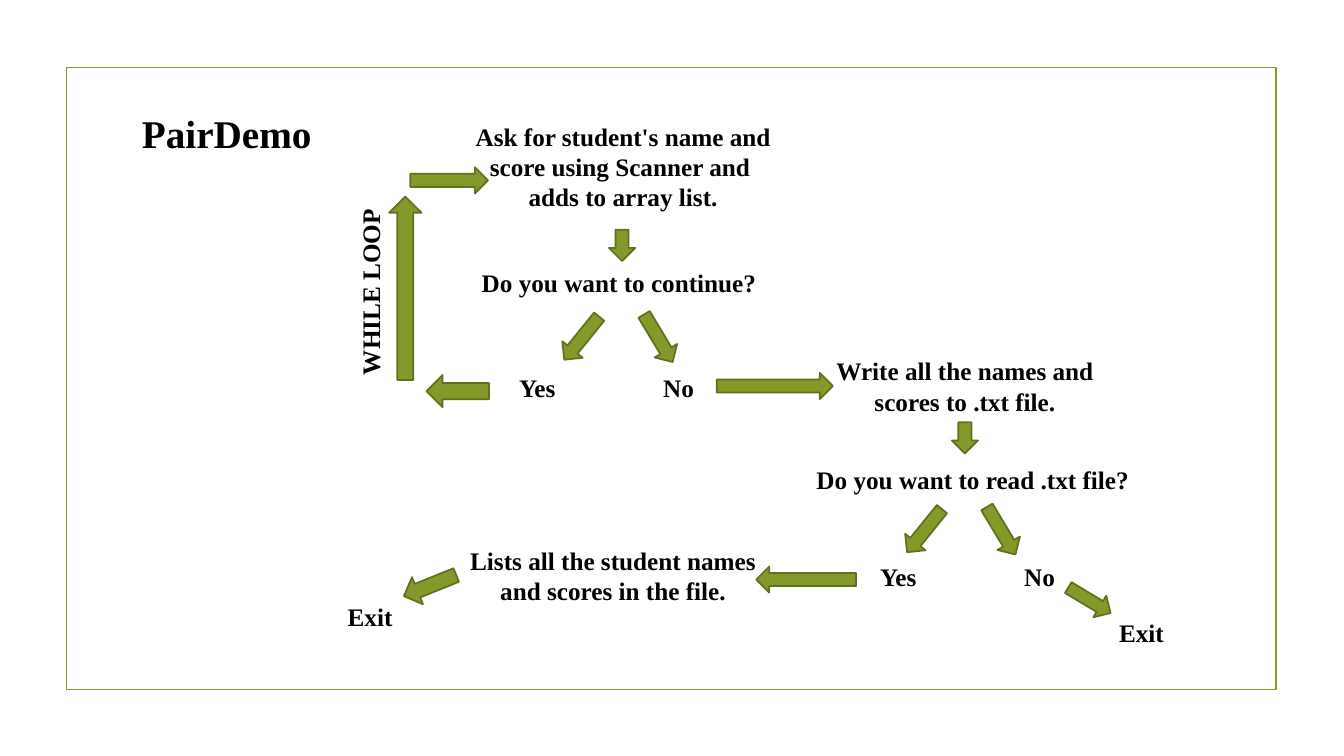
import pptx
import pptx.util
import pptx.dml.color
import pptx.enum.shapes
import pptx.enum.text

Inches = pptx.util.Inches
Pt = pptx.util.Pt
SHAPE = pptx.enum.shapes.MSO_SHAPE
ALIGN = pptx.enum.text.PP_ALIGN

GREEN = pptx.dml.color.RGBColor(0x83, 0x99, 0x2A)
DARK_GREEN = pptx.dml.color.RGBColor(0x61, 0x71, 0x1F)
BLACK = pptx.dml.color.RGBColor(0, 0, 0)

deck = pptx.Presentation()
deck.slide_width = Inches(13.33)
deck.slide_height = Inches(7.5)
slide = deck.slides.add_slide(deck.slide_layouts[6])


def add_label(lines, left, top, width, height, size=18, align=ALIGN.LEFT, wrap=True):
    label = slide.shapes.add_textbox(Inches(left), Inches(top), Inches(width), Inches(height))
    label.text_frame.word_wrap = wrap
    label.text_frame.text = lines
    for paragraph in label.text_frame.paragraphs:
        paragraph.alignment = align
        paragraph.font.name = "Times New Roman"
        paragraph.font.size = Pt(size)
        paragraph.font.bold = True
        paragraph.font.color.rgb = BLACK
    return label


def add_outlined(kind, left, top, width, height, outline):
    figure = slide.shapes.add_shape(kind, Inches(left), Inches(top), Inches(width), Inches(height))
    figure.shadow.inherit = False
    figure.line.color.rgb = outline
    figure.line.width = Pt(1.25)
    return figure


frame = add_outlined(SHAPE.RECTANGLE, 0.66, 0.67, 12, 6.17, GREEN)
frame.fill.background()

add_label("PairDemo", 1.31, 1.04, 3, 0.57, size=28)

steps = [
    ("Ask for student's name and score using Scanner and \nadds to array list.", 4.59, 1.15, 3.18, 1.01),
    ("Write all the names and scores to .txt file.", 8.07, 3.48, 3, 0.71),
    ("Lists all the student names and scores in the file.", 4.54, 5.36, 3.08, 0.71),
]
for text, left, top, width, height in steps:
    add_label(text, left, top, width, height, align=ALIGN.CENTER)

questions_and_exits = [
    ("Do you want to continue?", 4.68, 2.6, 3),
    ("Do you want to read .txt file?", 8, 4.56, 3.36),
    ("Exit", 11, 6.08, 0.72),
    ("Exit", 3.35, 5.92, 0.72),
]
for text, left, top, width in questions_and_exits:
    add_label(text, left, top, width, 0.4)

while_loop = add_label("WHILE LOOP", 2.69, 2.64, 1.96, 0.4)
while_loop.rotation = 270

arrows = [
    (SHAPE.RIGHT_ARROW, 4.07, 1.66, 0.77, 0.26, 0),
    (SHAPE.UP_ARROW, 3.86, 1.95, 0.32, 1.82, 0),
    (SHAPE.LEFT_ARROW, 4.23, 3.72, 0.62, 0.32, 0),
    (SHAPE.RIGHT_ARROW, 7.11, 3.7, 1.15, 0.26, 0),
    (SHAPE.LEFT_ARROW, 7.5, 5.62, 0.99, 0.26, 0),
    (SHAPE.DOWN_ARROW, 10.68, 5.71, 0.25, 0.49, 301),
    (SHAPE.DOWN_ARROW, 4.12, 5.53, 0.29, 0.56, 68),
]

for branch_left, branch_top, answer_top in [(5.64, 2.28, 3.64), (9.04, 4.19, 5.52)]:
    arrows += [
        (SHAPE.DOWN_ARROW, branch_left + 0.4, branch_top, 0.26, 0.31, 0),
        (SHAPE.DOWN_ARROW, branch_left, branch_top + 0.8, 0.26, 0.55, 39),
        (SHAPE.DOWN_ARROW, branch_left + 0.76, branch_top + 0.8, 0.26, 0.55, 329),
    ]
    yes_left = branch_left - 0.59 if branch_left < 6 else branch_left - 0.41
    add_label("Yes", yes_left, answer_top, 0.58, 0.4, wrap=False)
    add_label("No", yes_left + 1.43, answer_top, 0.63, 0.4)

for kind, left, top, width, height, turn in arrows:
    arrow = add_outlined(kind, left, top, width, height, DARK_GREEN)
    arrow.fill.solid()
    arrow.fill.fore_color.rgb = GREEN
    arrow.rotation = turn

deck.save("out.pptx")
